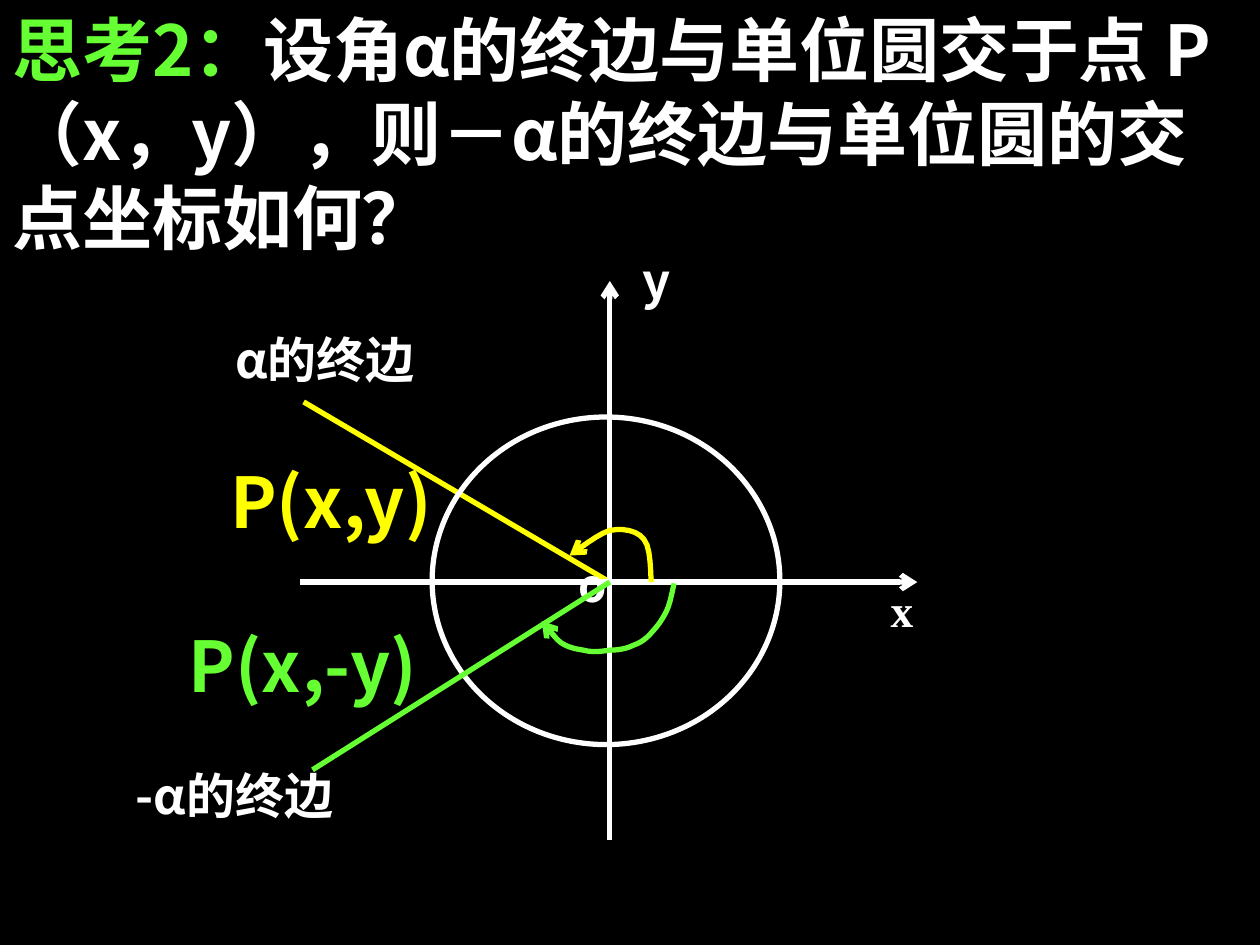
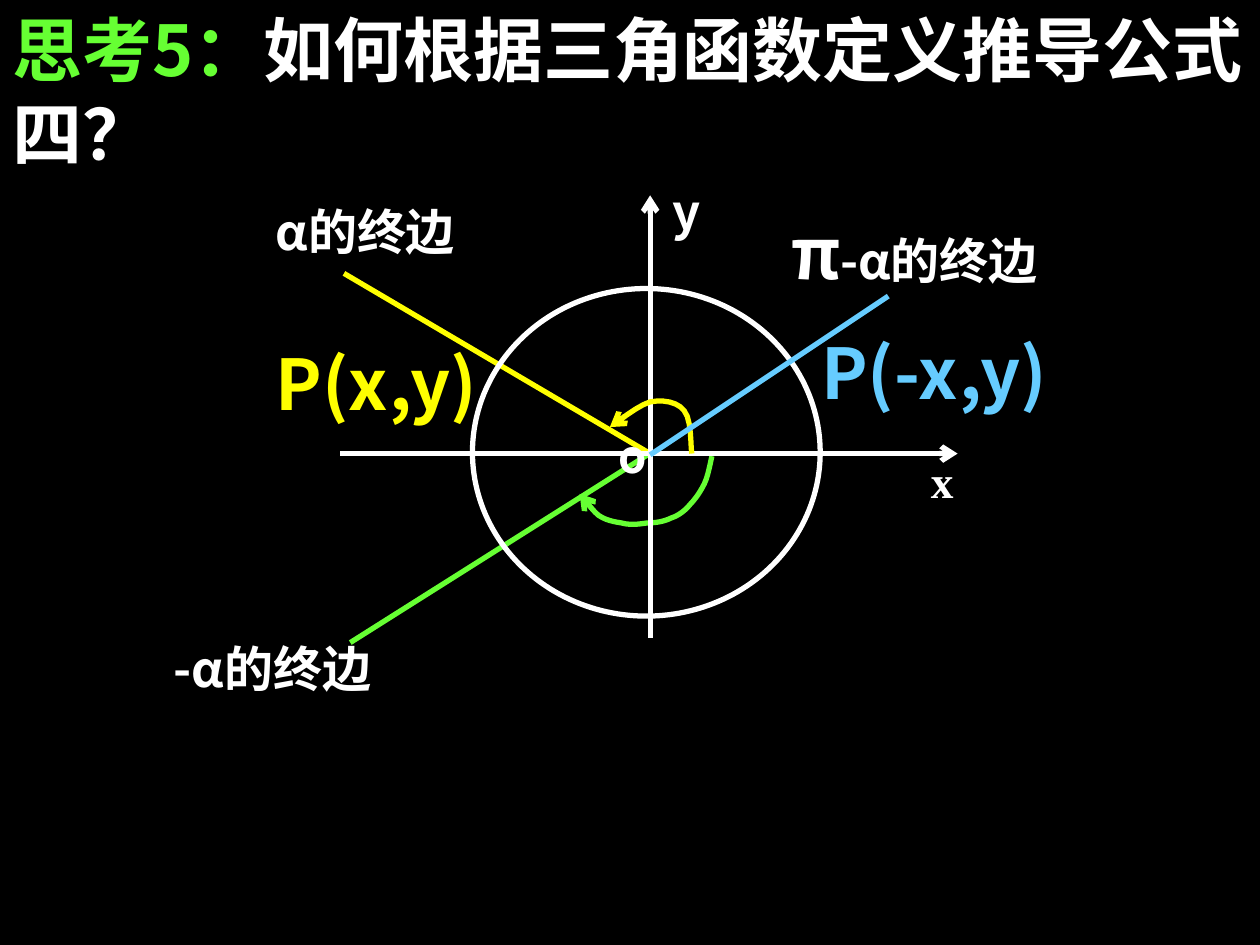
from lxml.etree import SubElement
from pptx import Presentation
from pptx.dml.color import RGBColor
from pptx.enum.shapes import MSO_CONNECTOR, MSO_SHAPE
from pptx.enum.text import MSO_ANCHOR, MSO_AUTO_SIZE, PP_ALIGN
from pptx.oxml.ns import qn
from pptx.util import Inches, Pt

BLACK = "000000"
WHITE = "FFFFFF"
YELLOW = "FFFF00"
GREEN = "66FF33"
BLUE = "66CCFF"
SANS = "Noto Sans CJK SC"
SERIF = "Times New Roman"

FRAME = {
    "word_wrap": True,
    "vertical_anchor": MSO_ANCHOR.TOP,
    "margin_left": Inches(0.1),
    "margin_right": Inches(0.1),
    "margin_top": Inches(0.05),
    "margin_bottom": Inches(0.05),
}
GROWING = {"auto_size": MSO_AUTO_SIZE.SHAPE_TO_FIT_TEXT}
TITLE_FRAME = GROWING | {"vertical_anchor": MSO_ANCHOR.MIDDLE}
JUSTIFIED = {"alignment": PP_ALIGN.JUSTIFY}
TIGHT = JUSTIFIED | {"line_spacing": 0.9}

POSITIVE_ARC = (
    (0.33, 0),
    (0.32, -0.06), (0.33, -0.27), (0.27, -0.34),
    (0.22, -0.41), (0.1, -0.43), (0, -0.41),
    (-0.1, -0.38), (-0.26, -0.25), (-0.32, -0.21),
)
NEGATIVE_ARC = (
    (0.51, 0.01),
    (0.5, 0.05), (0.48, 0.17), (0.45, 0.23),
    (0.42, 0.29), (0.38, 0.35), (0.34, 0.39),
    (0.3, 0.44), (0.25, 0.48), (0.19, 0.5),
    (0.13, 0.53), (0.06, 0.54), (0, 0.54),
    (-0.07, 0.55), (-0.14, 0.56), (-0.21, 0.54),
    (-0.27, 0.53), (-0.33, 0.52), (-0.39, 0.48),
    (-0.44, 0.44), (-0.5, 0.35), (-0.54, 0.31),
)
CURVE_STEPS = 6


def color(value):
    return RGBColor.from_string(value)


def apply(target, values):
    for name, value in values.items():
        setattr(target, name, value)


def shift(origin, offset):
    return origin[0] + offset[0], origin[1] + offset[1]


def lengths(*values):
    return [Inches(value) for value in values]


def write(box, spans, frame=None, paragraph=None):
    apply(box.text_frame, FRAME | (frame or {}))
    para = box.text_frame.paragraphs[0]
    apply(para, {"alignment": PP_ALIGN.LEFT} | (paragraph or {}))
    for text, size, ink, face in spans:
        span = para.add_run()
        span.text = text
        apply(span.font, {"size": Pt(size), "bold": True, "name": face})
        span.font.color.rgb = color(ink)
        SubElement(span.font._element, qn("a:ea"), typeface=SANS)


def add_text(page, place, size, spans, frame=None, paragraph=None):
    box = page.shapes.add_textbox(*lengths(*place, *size))
    write(box, spans, frame, paragraph)


def style_line(shape, ink, arrow=False):
    shape.line.color.rgb = color(ink)
    shape.line.width = Pt(3)
    if arrow:
        outline = shape.element.spPr.find(qn("a:ln"))
        SubElement(outline, qn("a:tailEnd"), type="arrow")


def add_line(page, start, end, ink, arrow=False):
    line = page.shapes.add_connector(MSO_CONNECTOR.STRAIGHT, *lengths(*start, *end))
    style_line(line, ink, arrow)
    SubElement(line.element.spPr, qn("a:effectLst"))


def curve_points(controls):
    for first in range(0, len(controls) - 1, 3):
        a, b, c, d = controls[first:first + 4]
        for step in range(1, CURVE_STEPS + 1):
            t = step / CURVE_STEPS
            weights = ((1 - t) ** 3, 3 * t * (1 - t) ** 2, 3 * t * t * (1 - t), t ** 3)
            yield tuple(
                sum(weight * point[axis] for weight, point in zip(weights, (a, b, c, d)))
                for axis in (0, 1)
            )


def add_arc(page, origin, controls, ink):
    builder = page.shapes.build_freeform(*lengths(*shift(origin, controls[0])))
    points = [lengths(*shift(origin, point)) for point in curve_points(controls)]
    builder.add_line_segments(points, close=False)
    arc = builder.convert_to_shape()
    arc.shadow.inherit = False
    arc.fill.background()
    style_line(arc, ink, arrow=True)


def add_title(page, number, question, height):
    spans = [(f"思考{number}：", 40, GREEN, SANS), (question, 40, WHITE, SANS)]
    add_text(page, (0, 0), (10, height), spans, TITLE_FRAME)


def add_point(page, text, place, width, ink):
    add_text(page, place, (width, 0.77), [(text, 40, ink, SANS)], GROWING)


def add_side_label(page, angle, place, size):
    spans = [(angle, 28, WHITE, SANS), ("的终边", 28, WHITE, SERIF)]
    add_text(page, place, size, spans, paragraph=JUSTIFIED)


def add_axis_name(page, text, place, face):
    add_text(page, place, (0.56, 0.56), [(text, 25.9, WHITE, face)], paragraph=TIGHT)


def add_y_name(page, place):
    box = page.shapes.add_shape(MSO_SHAPE.RECTANGLE, *lengths(*place, 0.63, 0.63))
    box.shadow.inherit = False
    box.fill.background()
    box.line.color.rgb = color(BLACK)
    box.line.width = Pt(0.75)
    write(box, [("y", 28, WHITE, SANS)], paragraph=JUSTIFIED)


def add_circle(page, origin):
    place = shift(origin, (-1.41, -1.31))
    circle = page.shapes.add_shape(MSO_SHAPE.OVAL, *lengths(*place, 2.76, 2.6))
    circle.shadow.inherit = False
    circle.fill.background()
    style_line(circle, WHITE)


def add_unit_circle(page, origin, y_name, y_bottom, y_top):
    add_y_name(page, y_name)
    add_side_label(page, "α", shift(origin, (-3.07, -2.05)), (2.04, 0.66))
    add_line(page, origin, shift(origin, (-2.43, -1.43)), YELLOW)
    add_line(page, shift(origin, (-2.46, 0)), shift(origin, (2.44, 0)), WHITE, arrow=True)
    add_line(page, (origin[0], y_bottom), (origin[0], y_top), WHITE, arrow=True)
    add_axis_name(page, "x", shift(origin, (2.13, 0)), SERIF)
    add_arc(page, origin, POSITIVE_ARC, YELLOW)
    add_axis_name(page, "o", shift(origin, (-0.35, -0.2)), SANS)
    add_circle(page, origin)


def add_negative_angle(page, origin):
    add_side_label(page, "-α", shift(origin, (-3.86, 1.41)), (2.68, 0.79))
    add_line(page, origin, shift(origin, (-2.36, 1.49)), GREEN)
    add_arc(page, origin, NEGATIVE_ARC, GREEN)


def add_supplement_angle(page):
    add_line(page, (5.16, 3.61), (7.05, 2.35), BLUE)
    spans = [("π", 40, WHITE, SANS), ("-α的终边", 28, WHITE, SANS)]
    add_text(page, (6.18, 1.61), (2.68, 0.79), spans, paragraph=JUSTIFIED)


def add_page(deck):
    page = deck.slides.add_slide(deck.slide_layouts[6])
    page.background.fill.solid()
    page.background.fill.fore_color.rgb = color(BLACK)
    return page


def build_reflection_page(deck):
    page = add_page(deck)
    question = "设角α的终边与单位圆交于点 P（x，y），则－α的终边与单位圆的交点坐标如何？"
    add_title(page, 2, question, 2.1)
    origin = (4.84, 4.62)
    add_unit_circle(page, origin, (5, 1.94), 6.67, 2.23)
    add_negative_angle(page, origin)
    add_point(page, "P(x,y)", (1.73, 3.59), 1.89, YELLOW)
    add_point(page, "P(x,-y)", (1.4, 4.89), 2.05, GREEN)


def build_formula_page(deck):
    page = add_page(deck)
    add_title(page, 5, "如何根据三角函数定义推导公式四？", 1.44)
    add_negative_angle(page, (5.14, 3.61))
    add_unit_circle(page, (5.16, 3.6), (5.24, 1.39), 5.06, 1.55)
    add_point(page, "P(x,y)", (2.09, 2.65), 1.89, YELLOW)
    add_point(page, "P(-x,y)", (6.42, 2.57), 2.21, BLUE)
    add_supplement_angle(page)


def main():
    deck = Presentation()
    deck.slide_width = Inches(10)
    deck.slide_height = Inches(7.5)
    build_reflection_page(deck)
    build_formula_page(deck)
    deck.save("out.pptx")


if __name__ == "__main__":
    main()
